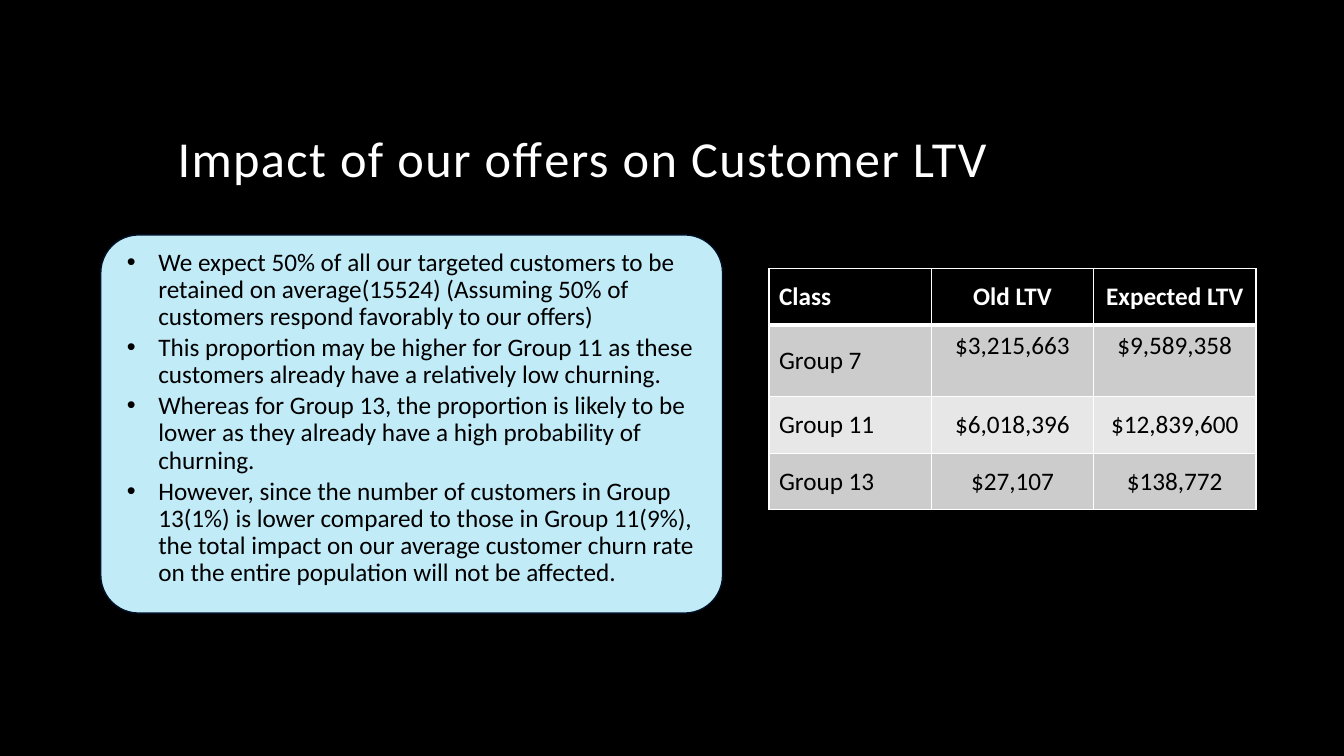
import pptx
import pptx.dml.color
import pptx.enum.shapes
import pptx.enum.text
import pptx.oxml
import pptx.oxml.ns
import pptx.util
from pptx.util import Cm, Pt

RGBColor = pptx.dml.color.RGBColor
Anchor = pptx.enum.text.MSO_ANCHOR
Align = pptx.enum.text.PP_ALIGN

BLACK = RGBColor(0x00, 0x00, 0x00)
WHITE = RGBColor(0xFF, 0xFF, 0xFF)
NAVY = RGBColor(0x00, 0x10, 0x27)
PALE_BLUE = RGBColor(0xC1, 0xEB, 0xF7)
BANDS = (RGBColor(0xCC, 0xCC, 0xCC), RGBColor(0xE7, 0xE7, 0xE7))

POINTS = (
    "We expect 50% of all our targeted customers to be retained on average(15524) "
    "(Assuming 50% of customers respond favorably to our offers)",
    "This proportion may be higher for Group 11 as these customers already have "
    "a relatively low churning.",
    "Whereas for Group 13, the proportion is likely to be lower as they already "
    "have a high probability of churning.",
    "However, since the number of customers in Group 13(1%) is lower compared to "
    "those in Group 11(9%), the total impact on our average customer churn rate "
    "on the entire population will not be affected.",
)
LTV_ROWS = (
    ("Class", "Old LTV", "Expected LTV"),
    ("Group 7", "$3,215,663", "$9,589,358"),
    ("Group 11", "$6,018,396", "$12,839,600"),
    ("Group 13", "$27,107", "$138,772"),
)
ROW_HEIGHTS = (Cm(1.42), Cm(1.81), Cm(1.42), Cm(1.42))


def apply(target, values):
    for name, value in values.items():
        setattr(target, name, value)


class SlideBuilder:
    font = "Calibri"
    text_size = Pt(18)
    title_size = Pt(36)

    def __init__(self, page):
        self.page = page
        page.background.fill.solid()
        page.background.fill.fore_color.rgb = BLACK

    def place(self, shape, left, top, width, height):
        apply(shape, {"left": left, "top": top, "width": width, "height": height})

    def add_text(self, para, text, color, size, bold=False):
        span = para.add_run()
        span.text = text
        apply(span.font, {"name": self.font, "size": size, "bold": bold})
        span.font.color.rgb = color
        return span

    def title(self, text, *area):
        box = self.page.shapes.title
        self.place(box, *area)
        apply(box.text_frame, {"vertical_anchor": Anchor.BOTTOM, "word_wrap": True})
        para = box.text_frame.paragraphs[0]
        apply(para, {"alignment": Align.LEFT, "line_spacing": 0.9})
        span = self.add_text(para, text, WHITE, self.title_size)
        span._r.get_or_add_rPr().set("spc", "100")

    def bullets(self, points, *area):
        box = self.page.placeholders[1]
        self.place(box, *area)
        frame = box.text_frame
        apply(frame, {
            "margin_left": Cm(0.36), "margin_right": Cm(0.36),
            "margin_top": Cm(0.36), "margin_bottom": Cm(0.36),
            "word_wrap": True, "vertical_anchor": Anchor.TOP,
            "auto_size": pptx.enum.text.MSO_AUTO_SIZE.NONE,
        })
        for index, point in enumerate(points):
            para = frame.add_paragraph() if index else frame.paragraphs[0]
            apply(para, {
                "alignment": Align.LEFT, "line_spacing": 0.9,
                "space_before": Pt(0), "space_after": Pt(2.7),
            })
            self.add_text(para, point, BLACK, self.text_size)
            properties = para._p.get_or_add_pPr()
            properties.set("marL", str(Cm(0.79)))
            properties.set("indent", str(-Cm(0.79)))
            for tag, name, value in (("a:buFont", "typeface", "Arial"),
                                     ("a:buChar", "char", "•")):
                mark = pptx.oxml.parse_xml(
                    f'<{tag} {pptx.oxml.ns.nsdecls("a")} {name}="{value}"/>')
                properties.append(mark)
        return box

    def panel_behind(self, front, *area):
        kind = pptx.enum.shapes.MSO_SHAPE.ROUNDED_RECTANGLE
        panel = self.page.shapes.add_shape(kind, *area)
        panel.adjustments[0] = 0.1
        panel.shadow.inherit = False
        panel.fill.solid()
        panel.fill.fore_color.rgb = PALE_BLUE
        panel.line.color.rgb = NAVY
        panel.line.width = Pt(1)
        front.element.addprevious(panel.element)

    def border(self, cell, side, width):
        properties = cell._tc.get_or_add_tcPr()
        properties.append(pptx.oxml.parse_xml(
            f'<a:ln{side} {pptx.oxml.ns.nsdecls("a")} w="{Pt(width)}">'
            f'<a:solidFill><a:srgbClr val="{WHITE}"/></a:solidFill></a:ln{side}>'))

    def table(self, rows, heights, left, top, width):
        columns = len(rows[0])
        table = self.page.shapes.add_table(
            len(rows), columns, left, top, width, sum(heights)).table
        for column in table.columns:
            column.width = width // columns
        for row, values in enumerate(rows):
            table.rows[row].height = heights[row]
            header = row == 0
            for column, value in enumerate(values):
                cell = table.cell(row, column)
                widths = {"L": 1, "R": 1, "T": 3 if row == 1 else 1,
                          "B": 3 if header else 1}
                for side, thickness in widths.items():
                    self.border(cell, side, thickness)
                cell.fill.solid()
                cell.fill.fore_color.rgb = BLACK if header else BANDS[(row - 1) % 2]
                raised = row == 1 and column > 0
                cell.vertical_anchor = Anchor.TOP if raised else Anchor.MIDDLE
                para = cell.text_frame.paragraphs[0]
                para.alignment = Align.CENTER if column else Align.LEFT
                self.add_text(para, value, WHITE if header else BLACK,
                              self.text_size, header)


def main():
    deck = pptx.Presentation()
    apply(deck, {"slide_width": Cm(33.87), "slide_height": Cm(19.05)})
    builder = SlideBuilder(deck.slides.add_slide(deck.slide_layouts[1]))
    builder.title("Impact of our offers on Customer LTV",
                  Cm(4.22), Cm(1.07), Cm(25.4), Cm(3.81))
    points = builder.bullets(POINTS, Cm(2.84), Cm(5.92), Cm(15.06), Cm(8.89))
    builder.panel_behind(points, Cm(2.54), Cm(5.92), Cm(15.67), Cm(9.53))
    builder.table(LTV_ROWS, ROW_HEIGHTS, Cm(19.38), Cm(6.77), Cm(12.27))
    deck.save("out.pptx")


if __name__ == "__main__":
    main()
